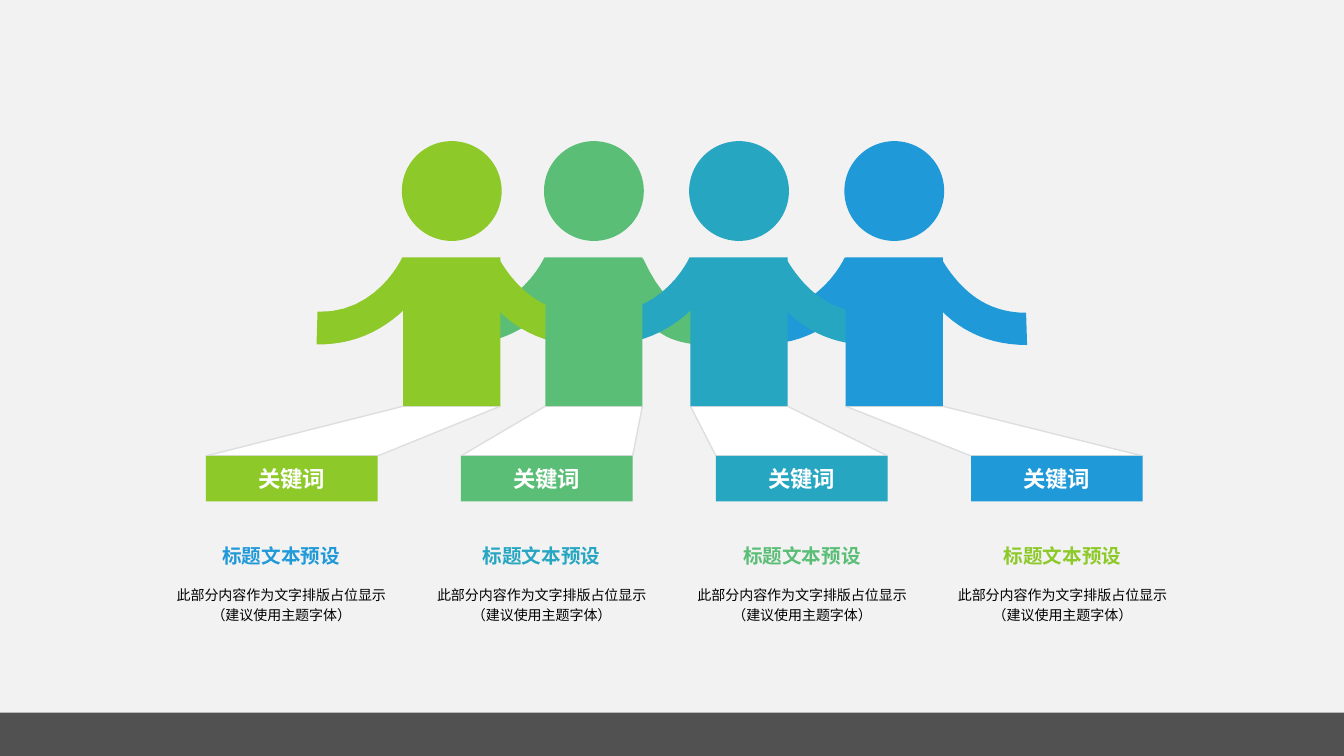
from pptx import Presentation
from pptx import util as u
from pptx.dml.color import RGBColor
from pptx.enum import shapes, text
from pptx.oxml.ns import qn
from lxml import etree

COLUMNS, ROWS = 40, 22.5
CURVE_STEPS = 12

PEOPLE = [(12, "8DC928"), (16.23, "5BBE77"), (20.55, "27A6C2"), (25.17, "2099D8")]
BODY_TOP, BODY_WIDTH, BODY_HEIGHT = 7.66, 2.89, 4.43
HEAD_TOP, HEAD_SIZE = 4.2, 2.97
LABEL_LEFT, LABEL_PITCH, LABEL_TOP = 6.13, 7.59, 13.57
LABEL_WIDTH, LABEL_HEIGHT = 5.11, 1.35
CAPTION_LEFT, CAPTION_PITCH, CAPTION_WIDTH = 4.74, 7.75, 7.26

LEFT_ARM = [
    [(-2.58, 2.59)],
    [(-2.55, 1.62)],
    [(-0.81, 1.68), (-0.03, 0.03), (-0.03, 0)],
    [(0.87, 0.42)],
    [(0.84, 0.42), (0.6, 0.99), (0.06, 1.53)],
    [(-0.66, 2.22), (-1.53, 2.61), (-2.58, 2.59)],
]
RIGHT_ARM = [
    [(1.98, 0.42)],
    [(2.85, 0.03)],
    [(2.85, 0.03), (3.06, 0.45), (3.48, 0.87)],
    [(4.02, 1.41), (4.65, 1.65), (5.37, 1.65)],
    [(5.4, 2.61)],
    [(4.35, 2.61), (3.48, 2.25), (2.79, 1.53)],
    [(2.25, 0.99), (1.98, 0.45), (1.98, 0.42)],
]
GREEN_RIGHT_ARM = [
    [(2.01, 0.42)],
    [(2.91, 0.03)],
    [(3.66, 1.68), (4.38, 1.68), (5.28, 1.65)],
    [(5.43, 2.61)],
    [(4.95, 2.61)],
    [(4.53, 2.61), (4.08, 2.58), (3.63, 2.37)],
    [(3, 2.04), (2.46, 1.41), (2.01, 0.42)],
]


def color(value):
    return RGBColor.from_string(value)


def trace(segments):
    points = [segments[0][0]]
    for segment in segments[1:]:
        if len(segment) == 1:
            points.append(segment[0])
            continue
        controls = [points[-1], *segment]
        for step in range(1, CURVE_STEPS + 1):
            t = step / CURVE_STEPS
            weights = ((1 - t) ** 3, 3 * t * (1 - t) ** 2, 3 * t * t * (1 - t), t ** 3)
            points.append(tuple(sum(w * c[axis] for w, c in zip(weights, controls))
                                for axis in (0, 1)))
    return points


class Canvas:
    font = "Calibri"

    def __init__(self, presentation):
        self.slide = presentation.slides.add_slide(presentation.slide_layouts[6])
        self.column = presentation.slide_width / COLUMNS
        self.row = presentation.slide_height / ROWS

    def background(self, fill):
        self.slide.background.fill.solid()
        self.slide.background.fill.fore_color.rgb = color(fill)

    def place(self, left, top, width, height):
        return (round(left * self.column), round(top * self.row),
                round(width * self.column), round(height * self.row))

    def paint(self, shape, fill, line=None):
        shape.shadow.inherit = False
        shape.fill.solid()
        shape.fill.fore_color.rgb = color(fill)
        if line:
            shape.line.color.rgb = color(line)
            shape.line.width = u.Pt(1)
        else:
            shape.line.fill.background()
        return shape

    def box(self, kind, area, fill):
        return self.paint(self.slide.shapes.add_shape(kind, *self.place(*area)), fill)

    def outline(self, points, fill, line=None, offset=(0, 0)):
        corners = [(round((x + offset[0]) * self.column), round((y + offset[1]) * self.row))
                   for x, y in points]
        builder = self.slide.shapes.build_freeform(*corners[0])
        builder.add_line_segments(corners[1:], close=True)
        return self.paint(builder.convert_to_shape(), fill, line)

    def textbox(self, area, lines, size, fill, bold=False, spacing=None):
        shape = self.slide.shapes.add_textbox(*self.place(*area))
        self.label(shape, lines, size, fill, bold, spacing)

    def label(self, shape, lines, size, fill, bold=False, spacing=None):
        frame = shape.text_frame
        frame.word_wrap = True
        frame.vertical_anchor = text.MSO_ANCHOR.MIDDLE
        frame.margin_left = frame.margin_right = frame.margin_top = frame.margin_bottom = 0
        paragraph = frame.paragraphs[0]
        paragraph.alignment = text.PP_ALIGN.CENTER
        if spacing:
            paragraph.line_spacing = spacing
        for index, line in enumerate(lines):
            if index:
                paragraph.add_line_break()
            run = paragraph.add_run()
            run.text = line
            run.font.name = self.font
            run.font.size = u.Pt(size)
            run.font.bold = bold
            run.font.color.rgb = color(fill)


def main():
    presentation = Presentation()
    presentation.slide_width = u.Inches(40 / 3)
    presentation.slide_height = u.Inches(7.5)
    canvas = Canvas(presentation)
    canvas.background("F2F2F2")

    rectangle, oval = shapes.MSO_SHAPE.RECTANGLE, shapes.MSO_SHAPE.OVAL
    footer = canvas.box(rectangle, (0, 21.21, COLUMNS, ROWS - 21.21), "0D0D0D")
    tint = next(footer.element.iter(qn("a:srgbClr")))
    etree.SubElement(tint, qn("a:alpha"), val="70000")

    body_bottom = BODY_TOP + BODY_HEIGHT
    labels = [LABEL_LEFT + index * LABEL_PITCH for index in range(len(PEOPLE))]

    for (left, _), label in zip(PEOPLE, labels):
        canvas.outline([(left, body_bottom), (left + BODY_WIDTH, body_bottom),
                        (label + LABEL_WIDTH, LABEL_TOP), (label, LABEL_TOP)],
                       "FFFFFF", "DCDEE0")

    for left, fill in PEOPLE[1::2] + PEOPLE[::2]:
        right_arm = GREEN_RIGHT_ARM if fill == "5BBE77" else RIGHT_ARM
        for arm in (LEFT_ARM, right_arm):
            canvas.outline(trace(arm), fill, offset=(left, BODY_TOP))

    for (left, fill), label in zip(PEOPLE, labels):
        canvas.box(oval, (left - 0.04, HEAD_TOP, HEAD_SIZE, HEAD_SIZE), fill)
        canvas.box(rectangle, (left, BODY_TOP, BODY_WIDTH, BODY_HEIGHT), fill)
        keyword = canvas.box(rectangle, (label, LABEL_TOP, LABEL_WIDTH, LABEL_HEIGHT), fill)
        canvas.label(keyword, ["关键词"], 16, "FFFFFF", bold=True)

    for index, (_, fill) in enumerate(reversed(PEOPLE)):
        left = CAPTION_LEFT + index * CAPTION_PITCH
        canvas.textbox((left, 16.08, CAPTION_WIDTH, 0.93), ["标题文本预设"], 14, fill, bold=True)
        canvas.textbox((left, 17.01, CAPTION_WIDTH, 1.89),
                       ["此部分内容作为文字排版占位显示", "（建议使用主题字体）"],
                       10, "000000", spacing=1.2)

    presentation.save("out.pptx")


if __name__ == "__main__":
    main()
